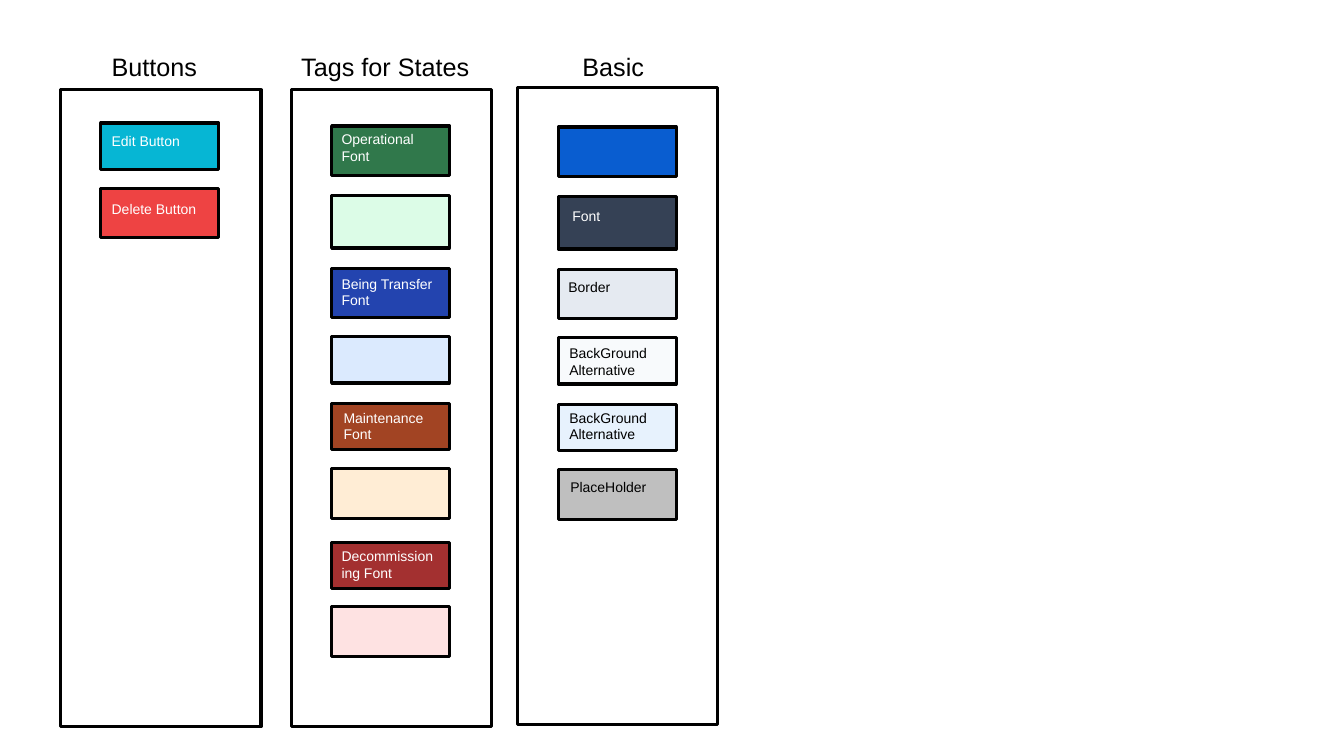
from pptx import Presentation
from pptx.dml.color import RGBColor
from pptx.enum.shapes import MSO_SHAPE
from pptx.enum.text import MSO_AUTO_SIZE
from pptx.util import Pt

BLACK = RGBColor(0x00, 0x00, 0x00)
WHITE = RGBColor(0xFF, 0xFF, 0xFF)
CYAN = RGBColor(0x06, 0xB6, 0xD4)
RED = RGBColor(0xEE, 0x43, 0x43)
GREEN = RGBColor(0x30, 0x78, 0x4B)
PALE_GREEN = RGBColor(0xDC, 0xFC, 0xE7)
NAVY = RGBColor(0x23, 0x44, 0xAF)
PALE_BLUE = RGBColor(0xDB, 0xEA, 0xFE)
RUST = RGBColor(0xA2, 0x44, 0x23)
PALE_ORANGE = RGBColor(0xFF, 0xED, 0xD5)
MAROON = RGBColor(0xA3, 0x30, 0x30)
PALE_RED = RGBColor(0xFE, 0xE2, 0xE2)
BLUE = RGBColor(0x09, 0x5D, 0xD0)
SLATE = RGBColor(0x35, 0x41, 0x55)
BORDER_GREY = RGBColor(0xE5, 0xEA, 0xF1)
OFF_WHITE = RGBColor(0xF8, 0xFA, 0xFC)
ICE = RGBColor(0xE7, 0xF2, 0xFD)
GREY = RGBColor(0xBF, 0xBF, 0xBF)

PANEL_WIDTH, PANEL_HEIGHT = 143.28, 455.04
SWATCH_WIDTH = 84.24
TITLE_TOP, TITLE_HEIGHT = 33.12, 28.8
ONE_LINE, TWO_LINES = 19.44, 31.68
WRAP_WIDTH = 81.36

# Swatch rows: top, height
BUTTON_ROWS = [(87.84, 33.12), (134.64, 35.28)]
TAG_ROWS = [(90, 35.28), (139.68, 37.44), (191.52, 35.28), (240.48, 33.12),
            (288, 33.12), (334.8, 35.28), (387.36, 33.12), (433.44, 35.28)]
BASIC_ROWS = [(top + 0.72, height) for top, height in TAG_ROWS]

# Swatches: fill, then label as text, colour, x and y offset, width, height, wrap
BUTTONS = [
    (CYAN, ("Edit Button", WHITE, 0.72, 3.6, WRAP_WIDTH, ONE_LINE, True)),
    (RED, ("Delete Button", WHITE, 0.72, 5.04, 84.24, ONE_LINE, False)),
]
TAGS = [
    (GREEN, ("Operational Font", WHITE, 0, 0, WRAP_WIDTH, TWO_LINES, True)),
    (PALE_GREEN, None),
    (NAVY, ("Being Transfer Font", WHITE, 0, 1.44, WRAP_WIDTH, TWO_LINES, True)),
    (PALE_BLUE, None),
    (RUST, ("Maintenance Font", WHITE, 1.44, 0.72, WRAP_WIDTH, TWO_LINES, True)),
    (PALE_ORANGE, None),
    (MAROON, ("Decommissioning Font", WHITE, 0, 0, WRAP_WIDTH, TWO_LINES, True)),
    (PALE_RED, None),
]
BASICS = [
    (BLUE, None),
    (SLATE, ("Font", WHITE, 2.88, 4.32, 36.72, ONE_LINE, False)),
    (BORDER_GREY, ("Border", BLACK, 0, 2.88, 48.24, ONE_LINE, False)),
    (OFF_WHITE, ("BackGround\nAlternative", BLACK, 0.72, 1.44, 79.2, TWO_LINES, False)),
    (ICE, ("BackGround\nAlternative", BLACK, 0.72, 0, 79.2, TWO_LINES, False)),
    (GREY, ("PlaceHolder", BLACK, 1.44, 2.88, 74.16, ONE_LINE, False)),
]

# Columns: title, title left and width, panel left and top, swatch left, rows, swatches
COLUMNS = [
    ("Buttons", 72.72, 84.24, 43.2, 64.08, 72, BUTTON_ROWS, BUTTONS),
    ("Tags for States", 208.08, 147.6, 208.08, 64.08, 236.88, TAG_ROWS, TAGS),
    ("Basic", 408.96, 61.92, 369.36, 62.64, 398.88, BASIC_ROWS, BASICS),
]

deck = Presentation()
deck.slide_width, deck.slide_height = Pt(960), Pt(540)
page = deck.slides.add_slide(deck.slide_layouts[6])


def add_outlined_box(left, top, width, height, fill):
    box = page.shapes.add_shape(MSO_SHAPE.RECTANGLE, Pt(left), Pt(top), Pt(width), Pt(height))
    box.shadow.inherit = False
    box.fill.solid()
    box.fill.fore_color.rgb = fill
    box.line.color.rgb = BLACK
    box.line.width = Pt(2.25)


def add_text(text, left, top, width, height, size, colour, wrap):
    box = page.shapes.add_textbox(Pt(left), Pt(top), Pt(width), Pt(height))
    frame = box.text_frame
    frame.word_wrap = wrap
    frame.auto_size = MSO_AUTO_SIZE.SHAPE_TO_FIT_TEXT
    for index, line in enumerate(text.split("\n")):
        para = frame.add_paragraph() if index else frame.paragraphs[0]
        span = para.add_run()
        span.text = line
        span.font.name = "Arial"
        span.font.size = Pt(size)
        span.font.color.rgb = colour


for title, title_left, title_width, panel_left, panel_top, left, rows, swatches in COLUMNS:
    add_outlined_box(panel_left, panel_top, PANEL_WIDTH, PANEL_HEIGHT, WHITE)
    add_text(title, title_left, TITLE_TOP, title_width, TITLE_HEIGHT, 18, BLACK, False)
    for (top, height), (fill, label) in zip(rows, swatches):
        add_outlined_box(left, top, SWATCH_WIDTH, height, fill)
        if label:
            text, colour, shift_x, shift_y, text_width, text_height, wrap = label
            add_text(text, left + shift_x, top + shift_y, text_width, text_height,
                     10, colour, wrap)

deck.save("out.pptx")
